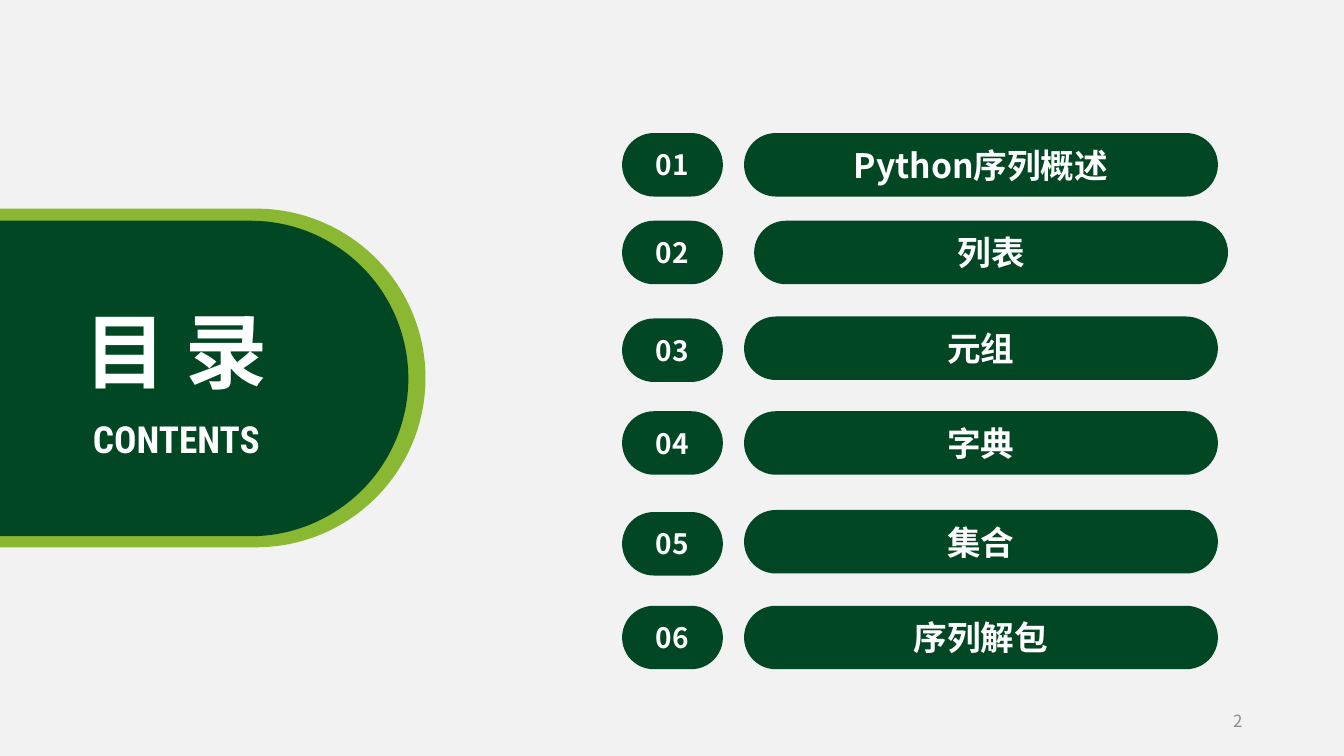
from dataclasses import dataclass
from typing import Any

from lxml.etree import SubElement
from pptx import Presentation
from pptx.dml.color import RGBColor as Rgb
from pptx.enum.shapes import MSO_SHAPE as Form
from pptx.enum.text import MSO_ANCHOR as Anchor, PP_ALIGN as Align
from pptx.oxml.ns import qn
from pptx.util import Inches, Pt

HUE = {"back": "F2F2F2", "lime": "8AB833", "dark": "014723",
       "white": "FFFFFF", "gray": "8C8C8C"}
SANS = "Noto Sans CJK SC"


@dataclass(frozen=True)
class Box:
    left: float
    top: float
    width: float
    height: float

    def size(self) -> list[int]:
        return [Inches(n) for n in (self.left, self.top, self.width, self.height)]


@dataclass(frozen=True)
class Label:
    text: str
    size: float
    face: str = SANS
    hue: str = "white"
    bold: bool = True
    align: Any = Align.CENTER
    anchor: Any = Anchor.MIDDLE
    wrap: bool = True


@dataclass(frozen=True)
class Row:
    title: str
    num_top: float
    bar_top: float
    bar_left: float = 7.38


ROWS = [
    Row("Python序列概述", 1.32, 1.32),
    Row("列表", 2.19, 2.19, 7.48),
    Row("元组", 3.16, 3.14),
    Row("字典", 4.08, 4.08),
    Row("集合", 5.08, 5.06),
    Row("序列解包", 6.01, 6.01),
]
PANELS = [
    (Box(-1.96, 2.07, 6.18, 3.36), "lime"),
    (Box(-1.7, 2.19, 5.75, 3.13), "dark"),
]
TEXTS = [
    (Box(0.62, 4.08, 2.26, 0.55),
     Label("CONTENTS", 26.6, "Roboto Condensed", anchor=Anchor.TOP, wrap=False)),
    (Box(0.7, 2.93, 2.09, 1.09),
     Label("目 录", 58.6, anchor=Anchor.TOP, wrap=False)),
    (Box(9.42, 6.95, 3, 0.4),
     Label("2", 12, hue="gray", bold=False, align=Align.RIGHT)),
]


def color(name: str) -> Rgb:
    return Rgb.from_string(HUE[name])


def write(shape: Any, label: Label) -> None:
    frame = shape.text_frame
    para = frame.paragraphs[0]
    run = para.add_run()
    font = run.font
    style = {
        frame: {"word_wrap": label.wrap, "vertical_anchor": label.anchor},
        para: {"alignment": label.align},
        run: {"text": label.text},
        font: {"size": Pt(label.size), "bold": label.bold, "name": label.face},
        font.color: {"rgb": color(label.hue)},
    }
    for part, values in style.items():
        for key, value in values.items():
            setattr(part, key, value)
    SubElement(run._r.get_or_add_rPr(), qn("a:ea"), typeface=label.face)


def pill(slide: Any, box: Box, hue: str, label: Label | None = None) -> None:
    shape = slide.shapes.add_shape(Form.ROUNDED_RECTANGLE, *box.size())
    shape.adjustments[0] = 0.5
    shape.shadow.inherit = False
    shape.fill.solid()
    shape.fill.fore_color.rgb = color(hue)
    shape.line.fill.background()
    if label:
        write(shape, label)


def main() -> None:
    deck = Presentation()
    deck.slide_width, deck.slide_height = Inches(13.33), Inches(7.5)
    slide = deck.slides.add_slide(deck.slide_layouts[6])
    fill = slide.background.fill
    fill.solid()
    fill.fore_color.rgb = color("back")

    for box, hue in PANELS:
        pill(slide, box, hue)
    for num, row in enumerate(ROWS, 1):
        pill(slide, Box(6.17, row.num_top, 1, 0.63), "dark", Label(f"{num:02}", 20))
        pill(slide, Box(row.bar_left, row.bar_top, 4.7, 0.63), "dark",
             Label(row.title, 24))
    for box, label in TEXTS:
        write(slide.shapes.add_textbox(*box.size()), label)

    deck.save("out.pptx")


if __name__ == "__main__":
    main()
